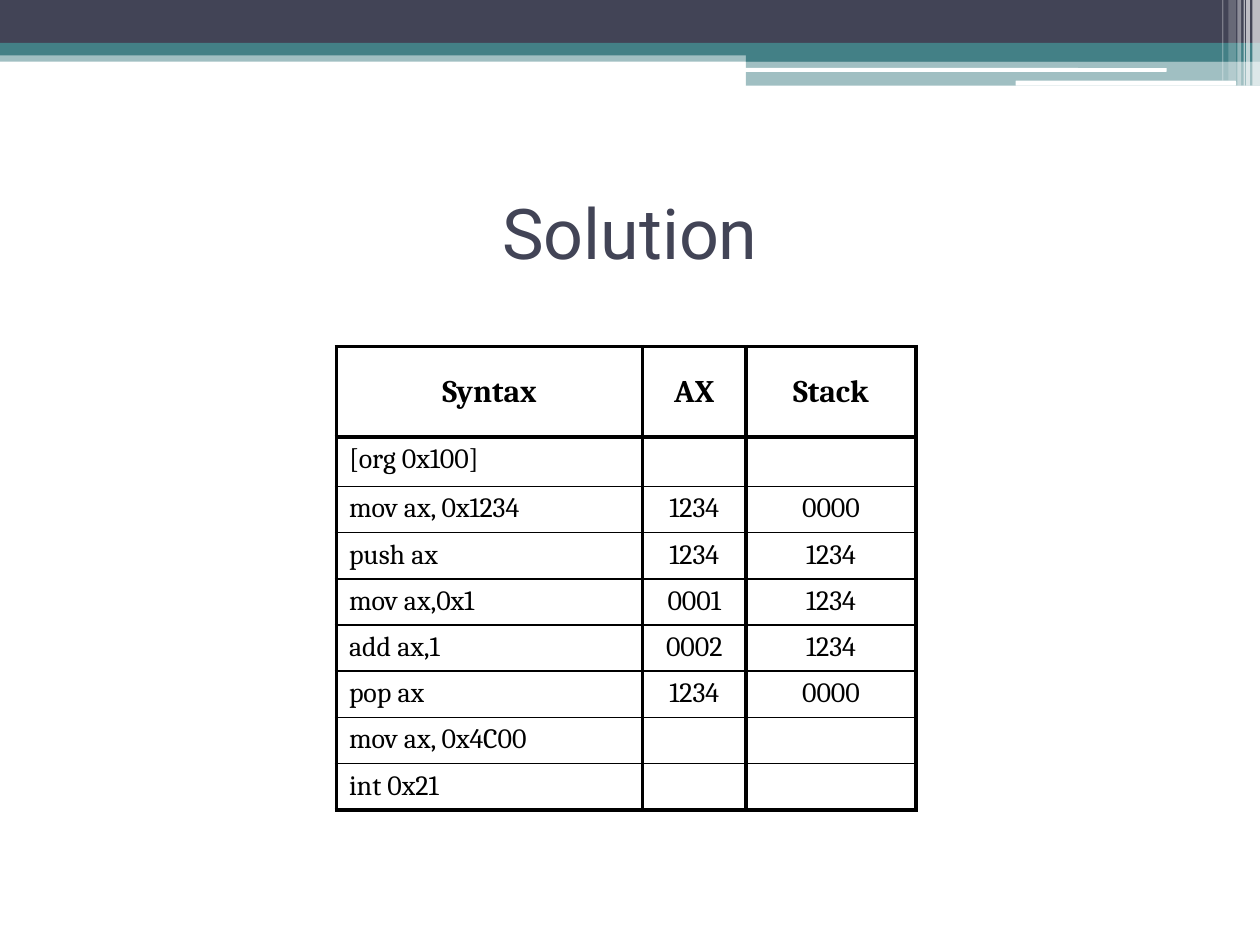
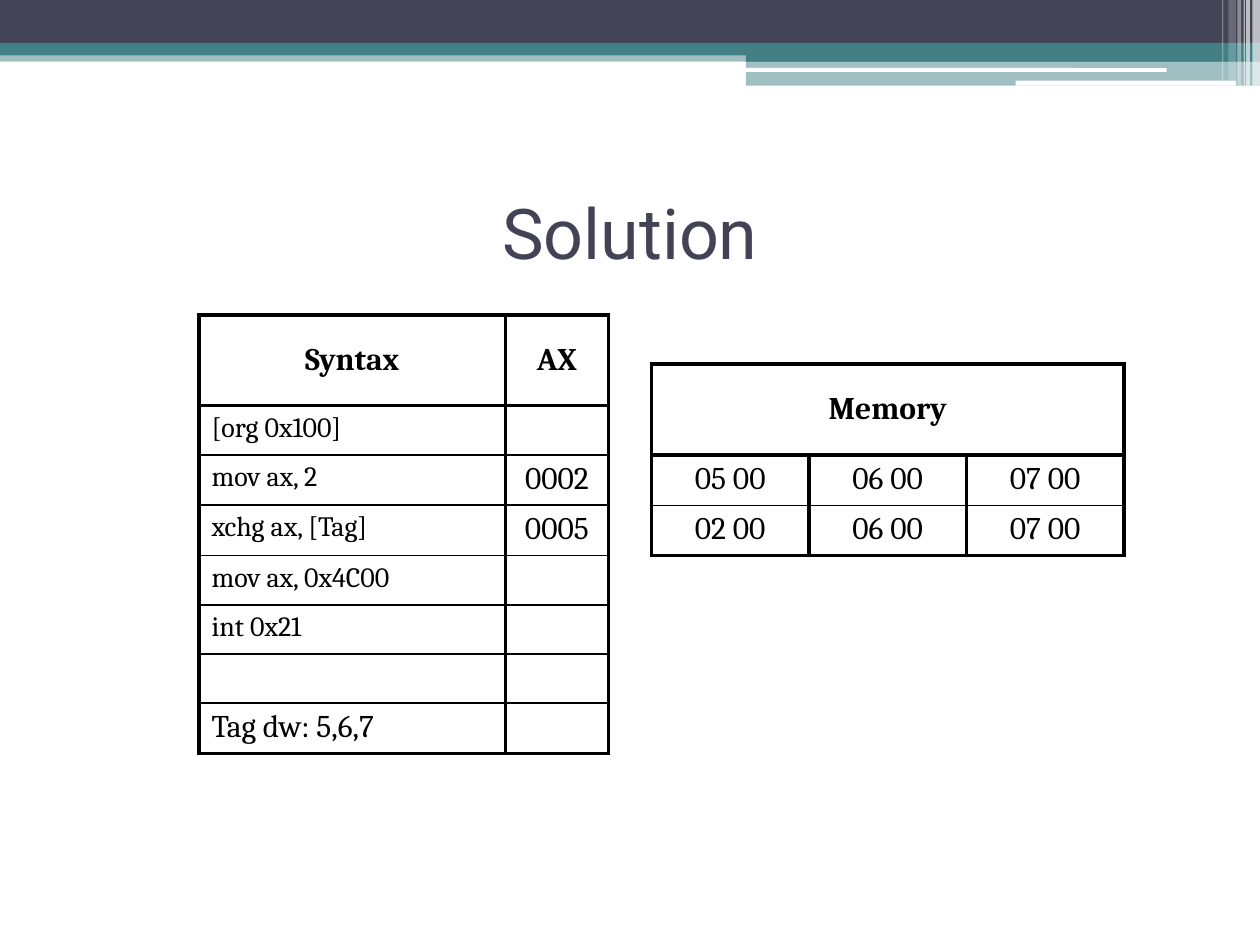
import pptx
import pptx.util
import pptx.dml.color
import pptx.enum.shapes
import pptx.enum.text
import pptx.oxml.ns
from lxml import etree

NAVY, TEAL, WHITE, BLACK = "424456", "438086", "FFFFFF", "000000"
TITLE_FONT, BODY_FONT = "Roboto", "Cambria"
THICK, THIN = pptx.util.Pt(2.25), pptx.util.Pt(1)
COLUMNS, ROWS = 1000, 750
HEADER_ROW, LARGE_ROW, SMALL_ROW = 72, 39, 35.5
RECT = pptx.enum.shapes.MSO_SHAPE.RECTANGLE
ROUNDED = pptx.enum.shapes.MSO_SHAPE.ROUNDED_RECTANGLE
ALIGN = pptx.enum.text.PP_ALIGN
MIDDLE = pptx.enum.text.MSO_ANCHOR.MIDDLE

deck = pptx.Presentation()
deck.slide_width = pptx.util.Inches(10)
deck.slide_height = pptx.util.Inches(7.5)
column = deck.slide_width / COLUMNS
row_unit = deck.slide_height / ROWS


def paint(color_owner, color):
    color_owner.rgb = pptx.dml.color.RGBColor.from_string(color)


def place(left, top, width, height):
    return (round(left * column), round(top * row_unit),
            round(width * column), round(height * row_unit))


bands = [
    (RECT, (0, 40, 1000, 9), TEAL, 50),
    (RECT, (0, 0, 1000, 34), NAVY, 100),
    (RECT, (0, 34, 1000, 10), TEAL, 100),
    (RECT, (592, 39, 408, 10), TEAL, 100),
    (RECT, (592, 48, 408, 20), TEAL, 50),
    (ROUNDED, (591, 54, 335, 3), WHITE, 100),
    (ROUNDED, (806, 64, 175, 4), WHITE, 100),
]
stripes = [(994, 6, 68, 65), (989, 3, 68, 65), (987, 1, 68, 60),
           (982, 3, 68, 40), (975, 6, 64, 20), (970, 1, 64, 30)]
bands += [(RECT, (left, 0, width, height), WHITE, opacity)
          for left, width, height, opacity in stripes]

stack_trace = {
    "corner": (267, 275), "widths": (243, 82, 135), "sizes": (16, 16, 16),
    "heights": [HEADER_ROW, LARGE_ROW] + [SMALL_ROW] * 7,
    "code": True,
    "lines": [
        ("Syntax", "AX", "Stack"),
        ("[org 0x100]", "", ""),
        ("mov ax, 0x1234", "1234", "0000"),
        ("push ax", "1234", "1234"),
        ("mov ax,0x1", "0001", "1234"),
        ("add ax,1", "0002", "1234"),
        ("pop ax", "1234", "0000"),
        ("mov ax, 0x4C00", "", ""),
        ("int 0x21", "", ""),
    ],
}
exchange_trace = {
    "corner": (158, 250), "widths": (243, 82), "sizes": (16, 18),
    "heights": [HEADER_ROW] + [LARGE_ROW] * 7,
    "code": True,
    "lines": [
        ("Syntax", "AX"),
        ("[org 0x100]", ""),
        ("mov ax, 2", "0002"),
        ("xchg ax, [Tag]", "0005"),
        ("mov ax, 0x4C00", ""),
        ("int 0x21", ""),
        ("", ""),
        ("Tag dw: 5,6,7", ""),
    ],
}
memory = {
    "corner": (517, 289), "widths": (125, 125, 125), "sizes": (18, 18, 18),
    "heights": [HEADER_ROW] + [LARGE_ROW] * 2,
    "code": False,
    "lines": [
        ("Memory", "", ""),
        ("05 00", "06 00", "07 00"),
        ("02 00", "06 00", "07 00"),
    ],
}

for traces in ([stack_trace], [exchange_trace, memory]):
    slide = deck.slides.add_slide(deck.slide_layouts[6])
    slide.background.fill.solid()
    paint(slide.background.fill.fore_color, WHITE)

    for outline, area, color, opacity in bands:
        band = slide.shapes.add_shape(outline, *place(*area))
        band.shadow.inherit = False
        band.line.fill.background()
        band.fill.solid()
        paint(band.fill.fore_color, color)
        if opacity < 100:
            tint = band.fill._xPr.find(".//" + pptx.oxml.ns.qn("a:srgbClr"))
            etree.SubElement(tint, pptx.oxml.ns.qn("a:alpha"), val=str(opacity * 1000))

    heading = slide.shapes.add_textbox(*place(50, 125, 900, 117)).text_frame
    heading.word_wrap = True
    heading.vertical_anchor = MIDDLE
    heading.paragraphs[0].alignment = ALIGN.CENTER
    title = heading.paragraphs[0].add_run()
    title.text = "Solution"
    title.font.size = pptx.util.Pt(40)
    title.font.name = TITLE_FONT
    paint(title.font.color, NAVY)

    for trace in traces:
        lines, widths, heights = trace["lines"], trace["widths"], trace["heights"]
        area = place(*trace["corner"], sum(widths), sum(heights))
        grid = slide.shapes.add_table(len(lines), len(widths), *area).table
        grid.first_row = grid.horz_banding = False
        for grid_column, width in zip(grid.columns, widths):
            grid_column.width = round(width * column)
        for grid_row, height in zip(grid.rows, heights):
            grid_row.height = round(height * row_unit)
        if not trace["code"]:
            grid.cell(0, 0).merge(grid.cell(0, len(widths) - 1))

        for r, line in enumerate(lines):
            top = THICK if r <= 1 else THIN
            bottom = THICK if r in (0, len(lines) - 1) else THIN
            for c, text in enumerate(line):
                cell = grid.cell(r, c)
                borders = cell._tc.get_or_add_tcPr()
                for side, weight in zip("LRTB", (THICK, THICK, top, bottom)):
                    border = etree.SubElement(borders, pptx.oxml.ns.qn("a:ln" + side), w=str(weight))
                    ink = etree.SubElement(border, pptx.oxml.ns.qn("a:solidFill"))
                    etree.SubElement(ink, pptx.oxml.ns.qn("a:srgbClr"), val=BLACK)
                cell.fill.background()

                paragraph = cell.text_frame.paragraphs[0]
                if not text:
                    ending = etree.SubElement(paragraph._p, pptx.oxml.ns.qn("a:endParaRPr"), sz="1600")
                    etree.SubElement(ending, pptx.oxml.ns.qn("a:latin"), typeface=BODY_FONT)
                    continue
                is_header = r == 0
                is_data = text.startswith("Tag")
                is_code = trace["code"] and c == 0 and not is_header
                paragraph.alignment = ALIGN.LEFT if is_data else ALIGN.JUSTIFY if is_code else ALIGN.CENTER
                if is_header:
                    cell.vertical_anchor = MIDDLE
                entry = paragraph.add_run()
                entry.text = text
                entry.font.name = BODY_FONT
                entry.font.size = pptx.util.Pt(18 if is_header or is_data else trace["sizes"][c])
                entry.font.bold = is_header
                paint(entry.font.color, BLACK)

deck.save("out.pptx")
